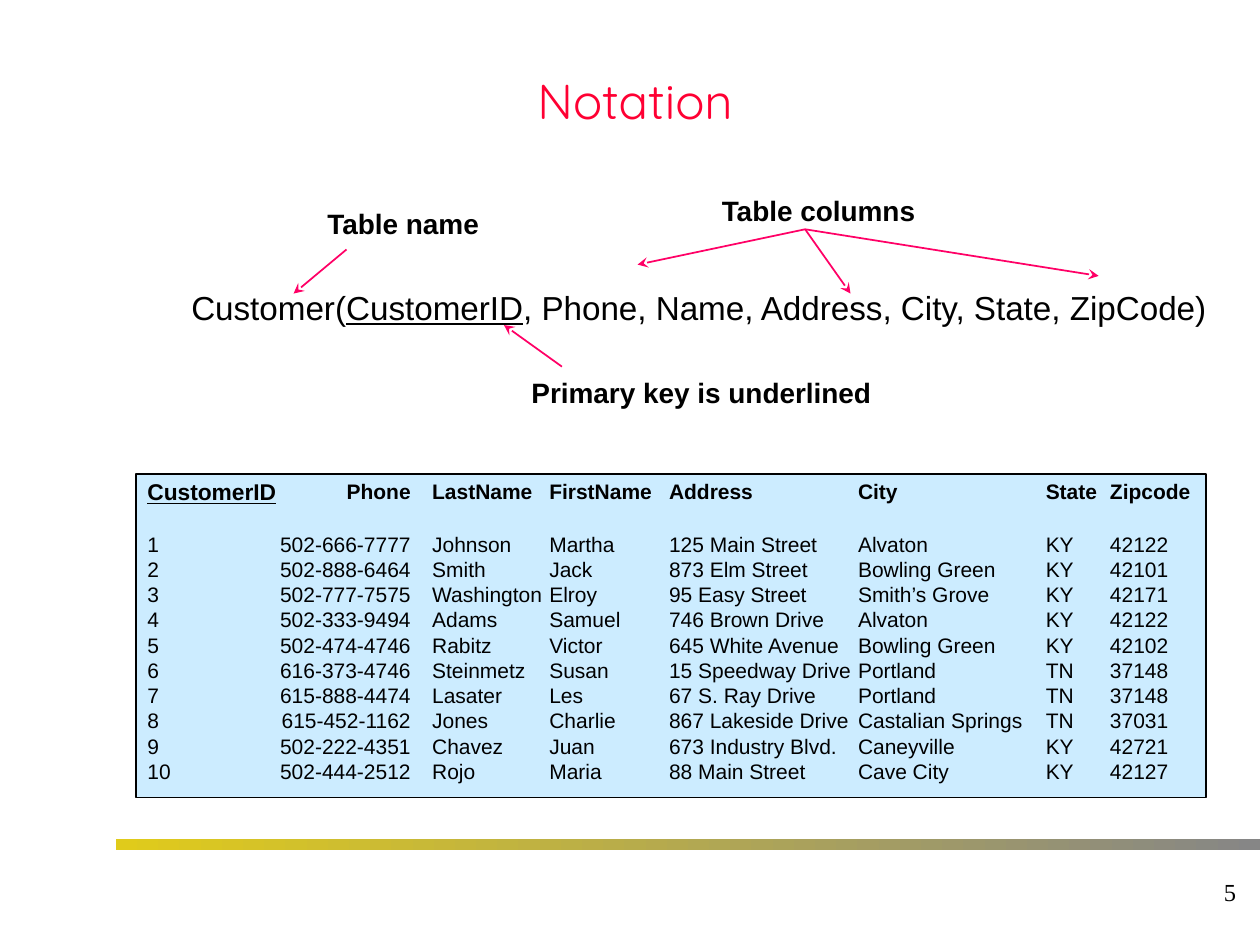
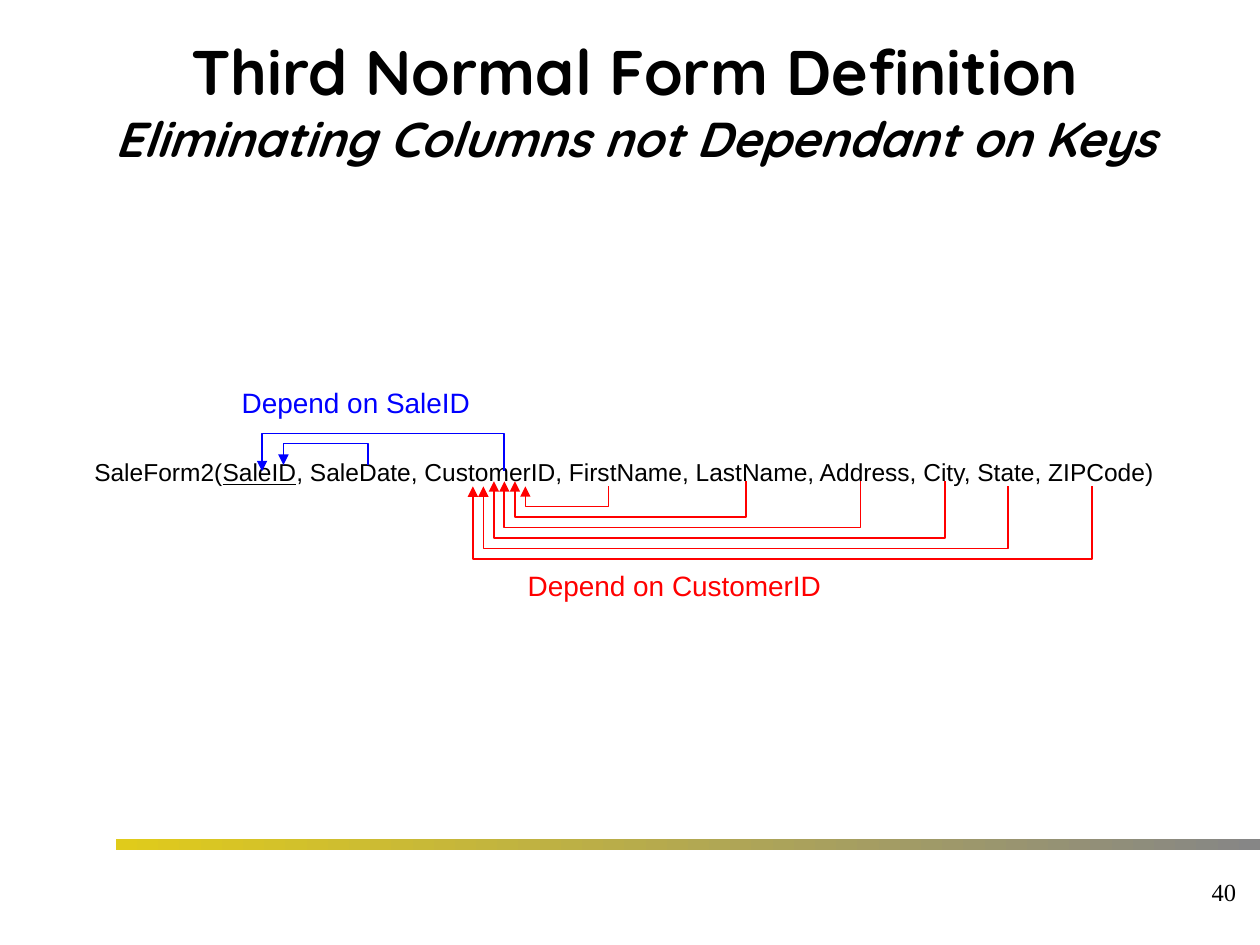
from lxml import etree
from pptx import Presentation
from pptx.dml.color import RGBColor
from pptx.enum import shapes, text
from pptx.oxml.ns import qn
from pptx.util import Inches, Pt

BLACK = RGBColor(0x00, 0x00, 0x00)
TITLE_RED = RGBColor(0xFF, 0x00, 0x33)
ARROW_PINK = RGBColor(0xFF, 0x00, 0x66)
SALE_BLUE = RGBColor(0x00, 0x00, 0xFF)
CUSTOMER_RED = RGBColor(0xFF, 0x00, 0x00)
TABLE_BLUE = RGBColor(0xCC, 0xEC, 0xFF)
BAND_YELLOW = RGBColor(0xE0, 0xCB, 0x1B)
BAND_GREY = RGBColor(0x86, 0x86, 0x86)

BODY_FONT = "Arial"
TITLE_FONT = "Quicksand"
NUMBER_FONT = "Times New Roman"
PLAIN_TABLE_STYLE = "{2D5ABB26-0587-4C30-8999-92F81FD0307C}"
LEFT, CENTER, RIGHT = text.PP_ALIGN.LEFT, text.PP_ALIGN.CENTER, text.PP_ALIGN.RIGHT

CUSTOMER_HEADINGS = ["CustomerID", "Phone", "LastName", "FirstName",
                     "Address", "City", "State", "Zipcode"]
CUSTOMER_WIDTHS = [1.03, 1.23, 0.93, 0.95, 1.5, 1.49, 0.51, 0.74]
CUSTOMERS = [
    ["1", "502-666-7777", "Johnson", "Martha", "125 Main Street", "Alvaton", "KY", "42122"],
    ["2", "502-888-6464", "Smith", "Jack", "873 Elm Street", "Bowling Green", "KY", "42101"],
    ["3", "502-777-7575", "Washington", "Elroy", "95 Easy Street", "Smith’s Grove", "KY", "42171"],
    ["4", "502-333-9494", "Adams", "Samuel", "746 Brown Drive", "Alvaton", "KY", "42122"],
    ["5", "502-474-4746", "Rabitz", "Victor", "645 White Avenue", "Bowling Green", "KY", "42102"],
    ["6", "616-373-4746", "Steinmetz", "Susan", "15 Speedway Drive", "Portland", "TN", "37148"],
    ["7", "615-888-4474", "Lasater", "Les", "67 S. Ray Drive", "Portland", "TN", "37148"],
    ["8", "615-452-1162", "Jones", "Charlie", "867 Lakeside Drive", "Castalian Springs", "TN", "37031"],
    ["9", "502-222-4351", "Chavez", "Juan", "673 Industry Blvd.", "Caneyville", "KY", "42721"],
    ["10", "502-444-2512", "Rojo", "Maria", "88 Main Street", "Cave City", "KY", "42127"],
]


class Deck:
    """Holds the presentation, its style and the slide being filled."""

    def __init__(self):
        self.presentation = Presentation()
        self.presentation.slide_width = Inches(10)
        self.presentation.slide_height = Inches(7.5)
        self.slide = None

    def add_slide(self, number):
        self.slide = self.presentation.slides.add_slide(self.presentation.slide_layouts[6])
        band = self.rectangle(0.92, 6.66, 9.08, 0.09)
        band.fill.gradient()
        band.fill.gradient_angle = 0
        for stop, color in zip(band.fill.gradient_stops, (BAND_YELLOW, BAND_GREY)):
            stop.color.rgb = color
        band.line.fill.background()
        self.text_box(7.83, 6.83, 2.08, 0.5, [(str(number), {})], 14, font=NUMBER_FONT,
                      align=RIGHT, anchor=text.MSO_ANCHOR.MIDDLE, wrap=True)

    def rectangle(self, left, top, width, height):
        shape = self.slide.shapes.add_shape(
            shapes.MSO_SHAPE.RECTANGLE, Inches(left), Inches(top), Inches(width), Inches(height))
        shape.shadow.inherit = False
        return shape

    @staticmethod
    def style(run, size, font=BODY_FONT, color=BLACK, bold=False, italic=False, underline=False):
        run.font.size = Pt(size)
        run.font.name = font
        run.font.color.rgb = color
        run.font.bold = bold
        run.font.italic = italic
        run.font.underline = underline

    def text_box(self, left, top, width, height, parts, size, align=LEFT,
                 anchor=text.MSO_ANCHOR.TOP, wrap=False, **style):
        """Write parts, pairs of wording and its own style, as one paragraph."""
        box = self.slide.shapes.add_textbox(
            Inches(left), Inches(top), Inches(width), Inches(height))
        frame = box.text_frame
        frame.word_wrap = wrap
        frame.vertical_anchor = anchor
        if not wrap:
            frame.auto_size = text.MSO_AUTO_SIZE.SHAPE_TO_FIT_TEXT
        paragraph = frame.paragraphs[0]
        paragraph.alignment = align
        for wording, changes in parts:
            if wording == "\n":
                paragraph.add_line_break()
                continue
            run = paragraph.add_run()
            run.text = wording
            self.style(run, **{"size": size, **style, **changes})

    def title(self, parts, **style):
        self.text_box(0.25, 0.17, 9.58, 1.25, parts, 28, font=TITLE_FONT, align=CENTER,
                      anchor=text.MSO_ANCHOR.MIDDLE, wrap=True, **style)

    def label(self, left, top, width, wording, **style):
        self.text_box(left, top, width, 0.37, [(wording, {})], 16, **style)

    def relation(self, left, top, width, height, name, key, columns, size, wrap):
        """Write a relation schema with its primary key underlined."""
        parts = [(f"{name}(", {}), (key, {"underline": True}), (f", {columns})", {})]
        self.text_box(left, top, width, height, parts, size, wrap=wrap)

    @staticmethod
    def finish_line(shape, color, head):
        """Colour a line and put an arrowhead at its end."""
        shape.line.color.rgb = color
        shape.line.width = Pt(1)
        line = shape.line._get_or_add_ln()
        etree.SubElement(line, qn("a:tailEnd"), type=head)

    def arrow(self, start, end):
        points = [Inches(value) for value in (*start, *end)]
        connector = self.slide.shapes.add_connector(shapes.MSO_CONNECTOR.STRAIGHT, *points)
        self.finish_line(connector, ARROW_PINK, "stealth")
        etree.SubElement(connector._element.spPr, qn("a:effectLst"))

    def dependency(self, column_x, key_x, end_y, bend_y, color):
        """Draw a bracket from a column to the key it depends on."""
        builder = self.slide.shapes.build_freeform(Inches(column_x), Inches(end_y))
        corners = [(column_x, bend_y), (key_x, bend_y), (key_x, end_y)]
        builder.add_line_segments([(Inches(x), Inches(y)) for x, y in corners], close=False)
        bracket = builder.convert_to_shape()
        bracket.shadow.inherit = False
        bracket.fill.background()
        self.finish_line(bracket, color, "triangle")

    def customer_table(self):
        border = self.rectangle(1.08, 3.76, 8.49, 2.57)
        border.fill.solid()
        border.fill.fore_color.rgb = TABLE_BLUE
        border.line.color.rgb = BLACK
        border.line.width = Pt(1)

        rows = [CUSTOMER_HEADINGS, *CUSTOMERS]
        heights = [0.42] + [0.2] * len(CUSTOMERS)
        graphic = self.slide.shapes.add_table(
            len(rows), len(CUSTOMER_WIDTHS), Inches(1.17), Inches(3.81),
            Inches(sum(CUSTOMER_WIDTHS)), Inches(sum(heights)))
        table = graphic.table
        table.first_row = table.horz_banding = False
        next(graphic._element.iter(qn("a:tableStyleId"))).text = PLAIN_TABLE_STYLE
        for column, width in zip(table.columns, CUSTOMER_WIDTHS):
            column.width = Inches(width)
        for row_index, (values, height) in enumerate(zip(rows, heights)):
            table.rows[row_index].height = Inches(height)
            for column_index, value in enumerate(values):
                self.fill_cell(table.cell(row_index, column_index), value,
                               is_heading=row_index == 0,
                               is_phone=column_index == 1)

    def fill_cell(self, cell, value, is_heading, is_phone):
        cell.margin_left = cell.margin_top = cell.margin_bottom = 0
        cell.margin_right = Inches(0.17 if is_phone else 0)
        cell.fill.solid()
        cell.fill.fore_color.rgb = TABLE_BLUE
        cell.text_frame.text = value
        paragraph = cell.text_frame.paragraphs[0]
        paragraph.alignment = RIGHT if is_phone else LEFT
        is_key = value == CUSTOMER_HEADINGS[0]
        self.style(paragraph.runs[0], 13 if is_key else 12, bold=is_heading, underline=is_key)


def build_notation(deck):
    deck.add_slide(5)
    deck.title([("Notation", {})], color=TITLE_RED)
    deck.label(2.5, 1.59, 1.42, "Table name", bold=True)
    deck.label(4.12, 2.93, 2.9, "Primary key is underlined", bold=True)
    deck.label(5.63, 1.49, 1.75, "Table columns", bold=True)
    deck.relation(1.42, 2.23, 8.5, 0.42, "Customer", "CustomerID",
                  "Phone, Name, Address, City, State, ZipCode", 19, wrap=True)
    deck.arrow((2.75, 1.98), (2.33, 2.33))
    for column_point in [(5.06, 2.1), (8.72, 2.19), (6.75, 2.33)]:
        deck.arrow((6.39, 1.82), column_point)
    deck.arrow((4.46, 2.91), (4, 2.58))
    deck.customer_table()


def build_third_normal_form(deck):
    deck.add_slide(40)
    deck.title([("Third Normal Form Definition", {"size": 36}), ("\n", {}),
                ("Eliminating Columns not Dependant on Keys", {"italic": True})], bold=True)
    deck.relation(0.65, 3.58, 8.64, 0.34, "SaleForm2", "SaleID",
                  "SaleDate, CustomerID, FirstName, LastName, Address, City, State, ZIPCode",
                  14, wrap=False)
    deck.dependency(2.92, 2.25, 3.69, 3.52, SALE_BLUE)
    deck.dependency(4, 2.08, 3.74, 3.44, SALE_BLUE)
    customer_columns = [(4.83, 3.86), (5.92, 3.82), (6.83, 3.82),
                        (7.5, 3.82), (8, 3.86), (8.67, 3.86)]
    for index, (column_x, end_y) in enumerate(customer_columns):
        step = index / 12
        deck.dependency(column_x, 4.17 - step, end_y, 4.02 + step, CUSTOMER_RED)
    deck.label(1.82, 3.01, 2.01, "Depend on SaleID", color=SALE_BLUE)
    deck.label(4.09, 4.46, 2.53, "Depend on CustomerID", color=CUSTOMER_RED)


def main():
    deck = Deck()
    build_notation(deck)
    build_third_normal_form(deck)
    deck.presentation.save("out.pptx")


if __name__ == "__main__":
    main()
